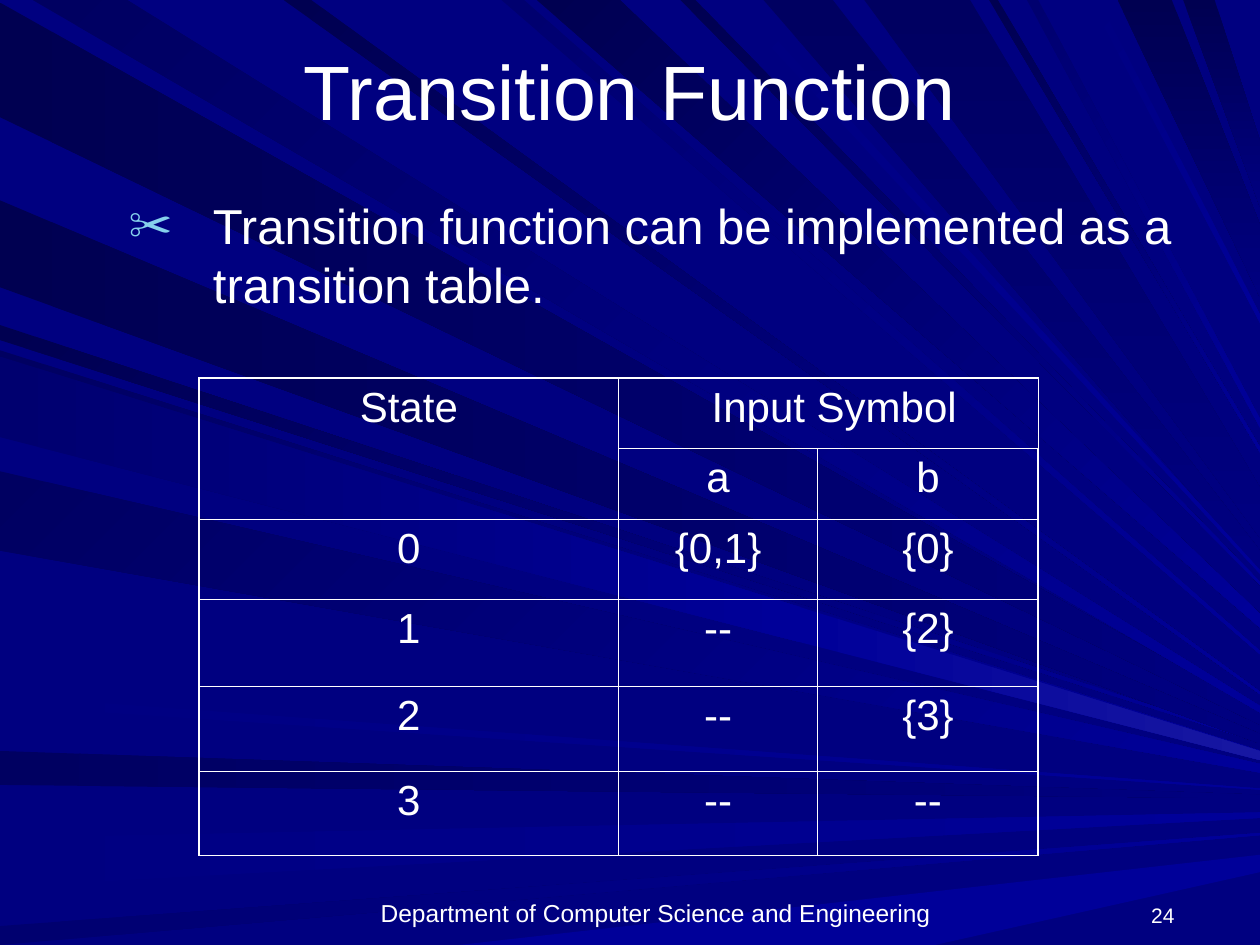
from lxml.etree import SubElement
from pptx import Presentation
from pptx.dml.color import RGBColor
from pptx.enum.text import MSO_ANCHOR, MSO_AUTO_SIZE, PP_ALIGN
from pptx.oxml.ns import qn
from pptx.util import Inches, Pt

INK = RGBColor(0x00, 0x00, 0x51)
DUSK = RGBColor(0x00, 0x00, 0x61)
DEEP = RGBColor(0x00, 0x00, 0x6F)
NAVY = RGBColor(0x00, 0x00, 0x80)
ROYAL = RGBColor(0x00, 0x00, 0x99)
GLOW = RGBColor(0x17, 0x17, 0xA2)
SKY = RGBColor(0x86, 0xD1, 0xEC)
WHITE = RGBColor(0xFF, 0xFF, 0xFF)

FONT = "Arial"
COLS, ROWS = 10, 7.5
FOCUS_X, FOCUS_Y = 11.24, 6.35
GLOW_FROM = 6.35
OUTER, INNER = Pt(1.08), Pt(0.45)
LEFT, TOP, BOTTOM = "left", "top", "bottom"

# Edge of the slide, span along it, height at the right edge, colours, angle.
RAYS = [
    (LEFT, 0.02, 0.93, None, INK, NAVY, 0),
    (TOP, 0.26, 1.01, 5.63, DUSK, ROYAL, 45),
    (LEFT, 5.96, 6.23, None, DUSK, NAVY, 0),
    (LEFT, 6.65, 7.04, 6.47, NAVY, ROYAL, 0),
    (LEFT, 7.35, 7.5, 6.62, DEEP, ROYAL, 0),
    (BOTTOM, 3.64, 7.42, 6.83, ROYAL, ROYAL, 0),
    (LEFT, 2.58, 2.7, 5.89, INK, ROYAL, 45),
    (LEFT, 1.59, 2.28, None, INK, NAVY, 0),
    (TOP, 3.98, 4.16, 5.18, DEEP, ROYAL, 45),
    (TOP, 4.26, 4.92, 4.93, INK, ROYAL, 45),
    (TOP, 5.4, 5.52, 4.63, INK, ROYAL, 45),
    (TOP, 6.06, 6.61, 4.46, DUSK, NAVY, 90),
    (TOP, 8.87, 9.3, 2.1, INK, NAVY, 90),
    (TOP, 9.39, 9.64, 1.4, INK, NAVY, 90),
    (LEFT, 2.78, 3.42, None, DUSK, ROYAL, 45),
    (LEFT, 3.74, 4.37, None, DUSK, ROYAL, 45),
    (LEFT, 5.52, 5.6, None, NAVY, ROYAL, 0),
    (TOP, 2.25, 2.47, 5.5, INK, ROYAL, 45),
    (TOP, 5.77, 5.88, 4.54, NAVY, ROYAL, 45),
    (TOP, 6.86, 7.7, 4.09, DUSK, NAVY, 90),
    (TOP, 7.85, 7.92, 3.57, INK, ROYAL, 45),
    (TOP, 8.15, 8.24, 3.36, DEEP, ROYAL, 45),
    (TOP, 8.65, 8.72, 2.53, NAVY, ROYAL, 45),
]

TRANSITIONS = [
    ["State", " Input Symbol", ""],
    ["", "a", "b"],
    ["0", "{0,1}", "{0}"],
    ["1", "--", "{2}"],
    ["2", "--", "{3}"],
    ["3", "--", "--"],
]


def edge_point(edge, place):
    return {LEFT: (0, place), TOP: (place, 0), BOTTOM: (place, ROWS)}[edge]


def toward(start, focus, x):
    share = (x - start[0]) / (focus[0] - start[0])
    return x, start[1] + share * (focus[1] - start[1])


def focus_for(edge, a, b, tip):
    if tip is None:
        return FOCUS_X, FOCUS_Y
    return toward(edge_point(edge, (a + b) / 2), (COLS, tip), FOCUS_X)


class Deck:
    def __init__(self):
        self.prs = Presentation()
        self.prs.slide_width, self.prs.slide_height = Inches(10), Inches(7.5)
        self.col = self.prs.slide_width / COLS
        self.row = self.prs.slide_height / ROWS
        self.s = self.prs.slides.add_slide(self.prs.slide_layouts[1])
        fill = self.s.background.fill
        fill.solid()
        fill.fore_color.rgb = NAVY

    def at(self, x, y):
        return round(x * self.col), round(y * self.row)

    def style(self, p, size, align):
        p.alignment = align
        p.space_before = Pt(0)
        for r in p.runs:
            r.font.name, r.font.size = FONT, Pt(size)
            r.font.color.rgb = WHITE

    def ray(self, edge, a, b, tip, start, end, angle, begin=0, stop=COLS):
        focus = focus_for(edge, a, b, tip)
        near = [edge_point(edge, place) for place in (a, b)]
        far = [toward(point, focus, stop) for point in near]
        if begin:
            near = [toward(point, focus, begin) for point in near]
        first, *rest = [self.at(*point) for point in near + far[::-1]]
        builder = self.s.shapes.build_freeform(*first)
        builder.add_line_segments(rest, close=True)
        sp = builder.convert_to_shape()
        sp.shadow.inherit = False
        sp.line.fill.background()
        if start == end:
            sp.fill.solid()
            sp.fill.fore_color.rgb = start
            return
        sp.fill.gradient()
        sp.fill.gradient_angle = (360 - angle) % 360
        for gradient_stop, color in zip(sp.fill.gradient_stops, (start, end)):
            gradient_stop.color.rgb = color

    def text(self, sp, text, box, size, align, anchor):
        sp.left, sp.top = self.at(*box[:2])
        sp.width, sp.height = self.at(*box[2:])
        tf = sp.text_frame
        tf.text = text
        tf.word_wrap = True
        tf.auto_size = MSO_AUTO_SIZE.NONE
        tf.vertical_anchor = anchor
        self.style(tf.paragraphs[0], size, align)
        return tf.paragraphs[0]

    def placeholder(self, idx, *args):
        sp = self.s.placeholders[idx]
        self.s.shapes._spTree.append(sp._element)
        return self.text(sp, *args)

    def label(self, *args):
        return self.text(self.s.shapes.add_textbox(0, 0, 0, 0), *args)

    def bullet(self, p, char, color, percent, indent):
        pPr = p._p.get_or_add_pPr()
        width = self.at(indent, 0)[0]
        pPr.set("marL", str(width))
        pPr.set("indent", str(-width))
        clr = SubElement(pPr, qn("a:buClr"))
        SubElement(clr, qn("a:srgbClr"), val=str(color))
        SubElement(pPr, qn("a:buSzPct"), val=str(percent * 1000))
        SubElement(pPr, qn("a:buChar"), char=char)

    def border(self, cell, side, width):
        ln = SubElement(cell._tc.get_or_add_tcPr(), qn(f"a:ln{side}"), w=str(width))
        fill = SubElement(ln, qn("a:solidFill"))
        SubElement(fill, qn("a:srgbClr"), val=str(WHITE))

    def table(self, rows, x, y, widths, heights, size):
        n, m = len(heights), len(widths)
        frame = self.s.shapes.add_table(n, m, *self.at(x, y), *self.at(sum(widths), sum(heights)))
        tbl = frame.table
        tbl.first_row = tbl.horz_banding = False
        for j, w in enumerate(widths):
            tbl.columns[j].width = self.at(w, 0)[0]
        for i, h in enumerate(heights):
            tbl.rows[i].height = self.at(0, h)[1]
            for j, text in enumerate(rows[i]):
                cell = tbl.cell(i, j)
                cell.text = text
                self.style(cell.text_frame.paragraphs[0], size, PP_ALIGN.CENTER)
                edges = {"L": j == 0, "R": j == m - 1, "T": i == 0, "B": i == n - 1}
                for side, outside in edges.items():
                    self.border(cell, side, OUTER if outside else INNER)
                cell.fill.background()
        return tbl


def main():
    deck = Deck()
    for ray in RAYS:
        deck.ray(*ray)
    bright = (LEFT, 2.83, 3.47, None)
    deck.ray(*bright, DEEP, ROYAL, 0, stop=GLOW_FROM)
    deck.ray(*bright, ROYAL, GLOW, 0, begin=GLOW_FROM)
    deck.label("Department of Computer Science and Engineering", (1.83, 7.08, 6.75, 0.33),
               14, PP_ALIGN.CENTER, MSO_ANCHOR.BOTTOM)
    deck.label("24", (8.75, 7.08, 0.67, 0.33), 12, PP_ALIGN.RIGHT, MSO_ANCHOR.BOTTOM)
    deck.placeholder(0, "Transition Function", (0.5, 0.3, 9, 0.83), 44, PP_ALIGN.CENTER, MSO_ANCHOR.MIDDLE)
    p = deck.placeholder(1, "Transition function can be implemented as a transition table.",
                         (0.92, 1.5, 8.5, 5.5), 28, PP_ALIGN.LEFT, MSO_ANCHOR.TOP)
    deck.bullet(p, "✂", SKY, 90, 0.67)
    tbl = deck.table(TRANSITIONS, 1.58, 3, [3.33, 1.58, 1.75], [0.56, 0.56, 0.64, 0.69, 0.67, 0.67], 24)
    tbl.cell(0, 0).merge(tbl.cell(1, 0))
    tbl.cell(0, 1).merge(tbl.cell(0, 2))
    deck.prs.save("out.pptx")


if __name__ == "__main__":
    main()
